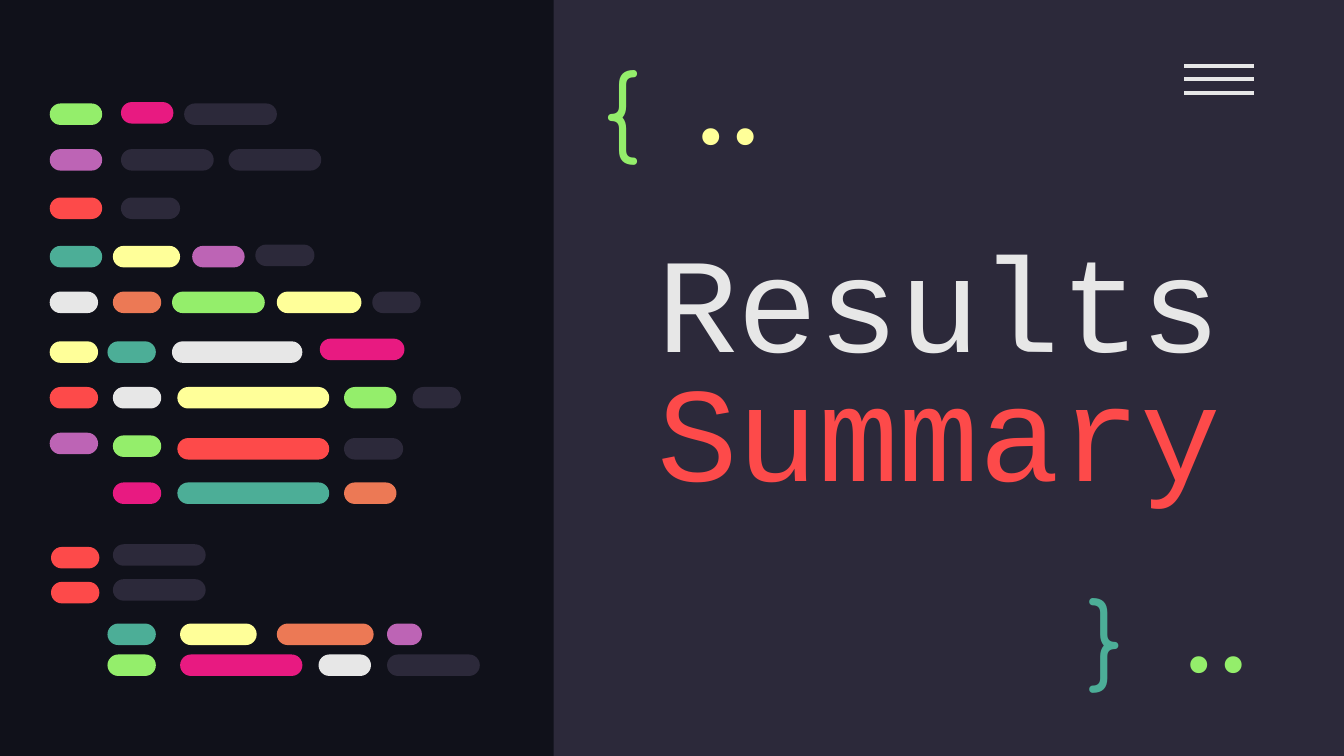
from pptx import Presentation
from pptx.dml.color import RGBColor
from pptx.enum.shapes import MSO_CONNECTOR, MSO_SHAPE
from pptx.enum.text import MSO_ANCHOR, PP_ALIGN
from pptx.oxml.ns import qn
from pptx.util import Inches, Pt
from lxml import etree

SLIDE_W = 10
SLIDE_H = SLIDE_W * 9 / 16
COLORS = {
    "night": "10111A", "slate": "2C293A", "white": "E7E7E7", "green": "94EE6B",
    "pink": "E81A81", "purple": "BD64B5", "red": "FD4A4A", "teal": "4CAE97",
    "yellow": "FFFF99", "orange": "EC7955",
}


def add_block(kind, left, top, width, height, color):
    s = slide.shapes.add_shape(kind, Inches(left), Inches(top), Inches(width), Inches(height))
    s.shadow.inherit = False
    s.fill.solid()
    s.fill.fore_color.rgb = RGBColor.from_string(COLORS[color])
    s.line.fill.background()
    return s


def add_text(box, runs, font, size, align, anchor, spacing=1.0):
    """Add a text box of one paragraph; runs are (text, color) pairs."""
    tf = slide.shapes.add_textbox(*[Inches(v) for v in box]).text_frame
    tf.word_wrap = True
    tf.vertical_anchor = anchor
    for side in ("left", "top", "right", "bottom"):
        setattr(tf, f"margin_{side}", Inches(0.1))
    p = tf.paragraphs[0]
    p.alignment = align
    p.line_spacing = spacing
    for text, color in runs:
        r = p.add_run()
        r.text = text
        r.font.name = font
        r.font.size = Pt(size)
        r.font.color.rgb = RGBColor.from_string(COLORS[color])


prs = Presentation()
prs.slide_width, prs.slide_height = Inches(SLIDE_W), Inches(SLIDE_H)
slide = prs.slides.add_slide(prs.slide_layouts[6])
slide.background.fill.solid()
slide.background.fill.fore_color.rgb = RGBColor.from_string(COLORS["night"])

add_block(MSO_SHAPE.RECTANGLE, 4.12, 0, SLIDE_W - 4.12, SLIDE_H, "slate")

# Menu icon
for i in range(3):
    y = Inches(0.49 + 0.1 * i)
    bar = slide.shapes.add_connector(MSO_CONNECTOR.STRAIGHT, Inches(8.81), y, Inches(9.33), y)
    bar.line.color.rgb = RGBColor.from_string(COLORS["white"])
    bar.line.width = Pt(2.25)
    etree.SubElement(bar._element.spPr, qn("a:effectLst"))

add_text((4.76, 1.43, 4.46, 2.77), [("Results ", "white"), ("Summary", "red")],
         "Courier New", 72, PP_ALIGN.CENTER, MSO_ANCHOR.MIDDLE, 0.8)

# Code lines: top, then (left, width, color) of each pill
code_lines = [
    (0.77, [(0.37, 0.39, "green"), (1.37, 0.69, "slate")]),
    (0.76, [(0.9, 0.39, "pink")]),
    (1.11, [(0.37, 0.39, "purple"), (0.9, 0.69, "slate"), (1.7, 0.69, "slate")]),
    (1.47, [(0.37, 0.39, "red"), (0.9, 0.44, "slate")]),
    (1.83, [(0.37, 0.39, "teal"), (0.84, 0.5, "yellow"), (1.43, 0.39, "purple")]),
    (1.82, [(1.9, 0.44, "slate")]),
    (2.17, [(0.37, 0.36, "white"), (0.84, 0.36, "orange"), (1.28, 0.69, "green"),
            (2.06, 0.63, "yellow"), (2.77, 0.36, "slate")]),
    (2.54, [(0.37, 0.36, "yellow"), (0.8, 0.36, "teal"), (1.28, 0.97, "white")]),
    (2.52, [(2.38, 0.63, "pink")]),
    (2.88, [(0.37, 0.36, "red"), (0.84, 0.36, "white"), (1.32, 1.13, "yellow"),
            (2.56, 0.39, "green"), (3.07, 0.36, "slate")]),
    (3.22, [(0.37, 0.36, "purple")]),
    (3.24, [(0.84, 0.36, "green")]),
    (3.26, [(1.32, 1.13, "red"), (2.56, 0.44, "slate")]),
    (3.59, [(0.84, 0.36, "pink"), (1.32, 1.13, "teal"), (2.56, 0.39, "orange")]),
    (4.07, [(0.38, 0.36, "red")]),
    (4.05, [(0.84, 0.69, "slate")]),
    (4.33, [(0.38, 0.36, "red")]),
    (4.31, [(0.84, 0.69, "slate")]),
    (4.64, [(0.8, 0.36, "teal"), (1.34, 0.57, "yellow"), (2.06, 0.72, "orange"),
            (2.88, 0.26, "purple")]),
    (4.87, [(0.8, 0.36, "green"), (1.34, 0.91, "pink"), (2.37, 0.39, "white"),
            (2.88, 0.69, "slate")]),
]
for top, pills in code_lines:
    for left, width, color in pills:
        pill = add_block(MSO_SHAPE.ROUNDED_RECTANGLE, left, top, width, 0.16, color)
        pill.adjustments[0] = 0.5

# Braces and dots
for box, text, color in [((4.39, 0.27, 0.77, 0.95), "{", "green"),
                         ((8, 4.2, 0.57, 0.83), "}", "teal")]:
    add_text(box, [(text, color)], "Comfortaa", 50, PP_ALIGN.LEFT, MSO_ANCHOR.TOP)
for left, top, color in [(8.51, 4.43, "green"), (4.88, 0.5, "yellow")]:
    add_text((left, top, 1.07, 0.6), [("..", color)], "Fira Code", 50,
             PP_ALIGN.RIGHT, MSO_ANCHOR.MIDDLE)

prs.save("out.pptx")
